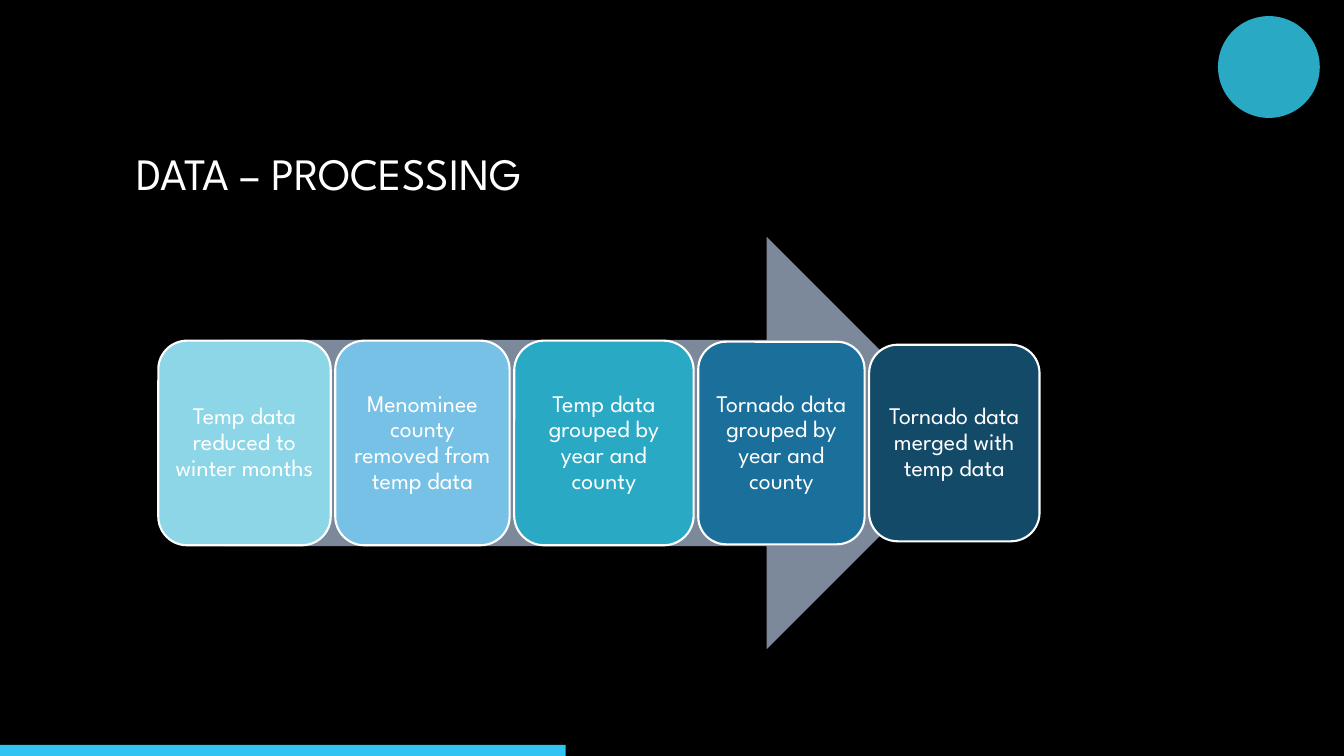
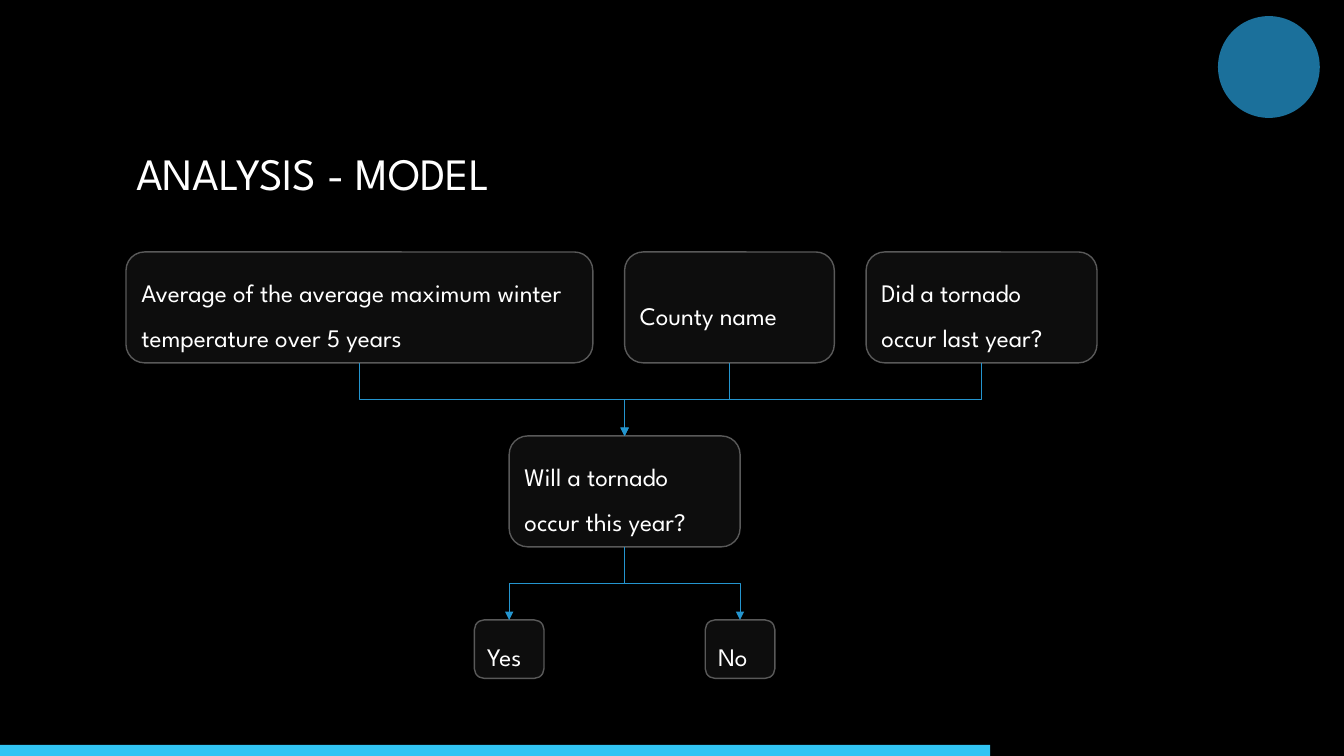
from lxml import etree
from pptx import Presentation
from pptx.dml.color import RGBColor
from pptx.enum.shapes import MSO_CONNECTOR, MSO_SHAPE
from pptx.enum.text import MSO_ANCHOR, PP_ALIGN
from pptx.oxml.ns import qn
from pptx.util import Inches, Pt

ELBOW = MSO_CONNECTOR.ELBOW
ARROW, ROUNDED = MSO_SHAPE.RIGHT_ARROW, MSO_SHAPE.ROUNDED_RECTANGLE
OVAL, BAR = MSO_SHAPE.OVAL, MSO_SHAPE.RECTANGLE
MIDDLE, LEFT, CENTER = MSO_ANCHOR.MIDDLE, PP_ALIGN.LEFT, PP_ALIGN.CENTER
BOTTOM_SIDE, TOP_SIDE = 2, 0

FONT = "League Spartan"
SLIDE_W, SLIDE_H = 13.33, 7.5
TITLE_ONLY = 5
COLORS = {
    "background": "000000", "text": "FFFFFF", "progress": "31C4F3",
    "arrow": "7C899A", "ice": "8DD6E7", "sky": "77C1E7", "teal": "2AA9C4",
    "blue": "1B709B", "navy": "124A68", "node": "0D0D0D",
    "node_edge": "595959", "link": "2495CF",
}
STEPS = [
    ("Temp data reduced to winter months", "ice", 1.71, 2.03),
    ("Menominee county removed from temp data", "sky", 1.73, 2.03),
    ("Temp data grouped by year and county", "teal", 1.78, 2.03),
    ("Tornado data grouped by year and county", "blue", 1.65, 2.01),
    ("Tornado data merged with temp data", "navy", 1.69, 1.95),
]
INPUTS = [
    ("Average of the average maximum winter temperature over 5 years", 4.63),
    ("County name", 2.08),
    ("Did a tornado occur last year?", 2.29),
]


def color(name):
    """Return the palette colour of that name."""
    return RGBColor.from_string(COLORS[name])


def add_block(slide, kind, box, fill, edge=None, edge_width=1):
    """Draw a flat shape in a box of left, top, width and height in inches."""
    block = slide.shapes.add_shape(kind, *map(Inches, box))
    block.shadow.inherit = False
    block.fill.solid()
    block.fill.fore_color.rgb = color(fill)
    if edge:
        block.line.color.rgb = color(edge)
        block.line.width = Pt(edge_width)
    else:
        block.line.fill.background()
    return block


def write(shape, text, size, align, spacing=None):
    """Set one paragraph of text, centred vertically in the shape."""
    frame = shape.text_frame
    frame.word_wrap = True
    frame.vertical_anchor = MIDDLE
    paragraph = frame.paragraphs[0]
    paragraph.text = text
    paragraph.alignment = align
    paragraph.line_spacing = spacing
    paragraph.font.name = FONT
    paragraph.font.size = Pt(size)
    paragraph.font.color.rgb = color("text")


def add_slide(prs, title, badge, progress):
    """Add a slide with its title, corner badge and progress bar."""
    slide = prs.slides.add_slide(prs.slide_layouts[TITLE_ONLY])
    write(slide.shapes.title, title, 32, LEFT)
    add_block(slide, OVAL, (12.08, 0.16, 1.01, 1.01), badge)
    bar_height = 0.11
    add_block(slide, BAR, (0, SLIDE_H - bar_height, progress, bar_height), "progress")
    return slide


def draw_process(slide, box):
    """Draw the row of steps across a large arrow."""
    left, top, width, height = box
    arrow_inset, gap = 0.65, 0.045
    add_block(slide, ARROW, (left + arrow_inset, top, width - 2 * arrow_inset, height), "arrow")
    for text, fill, step_width, step_height in STEPS:
        step_top = top + (height - step_height) / 2
        step = add_block(slide, ROUNDED, (left, step_top, step_width, step_height), fill, "text", 1.5)
        frame = step.text_frame
        frame.margin_left = frame.margin_right = Inches(0.07)
        frame.margin_top = frame.margin_bottom = Inches(0.07)
        write(step, text, 17, CENTER, 0.9)
        left += step_width + gap


def add_node(slide, text, box):
    """Draw one rounded node of the model."""
    node = add_block(slide, ROUNDED, box, "node", "node_edge")
    write(node, text, 18, LEFT, 1.5)
    return node


def link(slide, source, target):
    """Join two nodes by an elbow arrow that leaves and arrives vertically."""
    start_x, start_y = source.left + source.width // 2, source.top + source.height
    end_x, end_y = target.left + target.width // 2, target.top
    elbow = slide.shapes.add_connector(ELBOW, start_x, start_y, end_x, end_y)
    elbow.begin_connect(source, BOTTOM_SIDE)
    elbow.end_connect(target, TOP_SIDE)
    drop, run = end_y - start_y, abs(end_x - start_x)
    elbow.left = (start_x + end_x - drop) // 2
    elbow.top = (start_y + end_y - run) // 2
    elbow.width, elbow.height = drop, run
    properties = elbow._element.spPr
    transform = properties.find(qn("a:xfrm"))
    for flip in ("flipH", "flipV"):
        transform.attrib.pop(flip, None)
    if end_x > start_x:
        transform.set("rot", "16200000")
        transform.set("flipH", "1")
    else:
        transform.set("rot", "5400000")
    elbow.line.color.rgb = color("link")
    elbow.line.width = Pt(0.75)
    etree.SubElement(properties.find(qn("a:ln")), qn("a:tailEnd"), type="triangle")
    etree.SubElement(properties, qn("a:effectLst"))


def draw_model(slide, box):
    """Draw the three inputs, the question and its two answers as a tree."""
    left, top, width, height = box
    node_height, answer_width, answer_height = 1.1, 0.69, 0.58
    row_gap = (height - 2 * node_height - answer_height) / 2
    column_gap = (width - sum(size for _, size in INPUTS)) / (len(INPUTS) - 1)
    question_width = 2.29
    question_left = left + 3.8
    question_top = top + node_height + row_gap
    question = add_node(slide, "Will a tornado occur this year?",
                        (question_left, question_top, question_width, node_height))
    for text, input_width in INPUTS:
        factor = add_node(slide, text, (left, top, input_width, node_height))
        link(slide, factor, question)
        left += input_width + column_gap
    answer_top = question_top + node_height + row_gap
    for text, middle in (("Yes", question_left), ("No", question_left + question_width)):
        answer = add_node(slide, text, (middle - answer_width / 2, answer_top,
                                        answer_width, answer_height))
        link(slide, question, answer)


def main():
    """Build and save the presentation."""
    prs = Presentation()
    prs.slide_width, prs.slide_height = Inches(SLIDE_W), Inches(SLIDE_H)
    backdrop = prs.slide_master.background.fill
    backdrop.solid()
    backdrop.fore_color.rgb = color("background")
    title = prs.slide_layouts[TITLE_ONLY].placeholders[0]
    title.left, title.top, title.width, title.height = map(Inches, (1.25, 0.67, 10.83, 2.08))

    processing = add_slide(prs, "DATA – PROCESSING", "teal", 5.61)
    draw_process(processing, (1.57, 2.35, 8.73, 4.09))
    model = add_slide(prs, "ANALYSIS - MODEL", "blue", 9.82)
    draw_model(model, (1.25, 2.5, 9.63, 4.23))
    prs.save("out.pptx")


if __name__ == "__main__":
    main()
